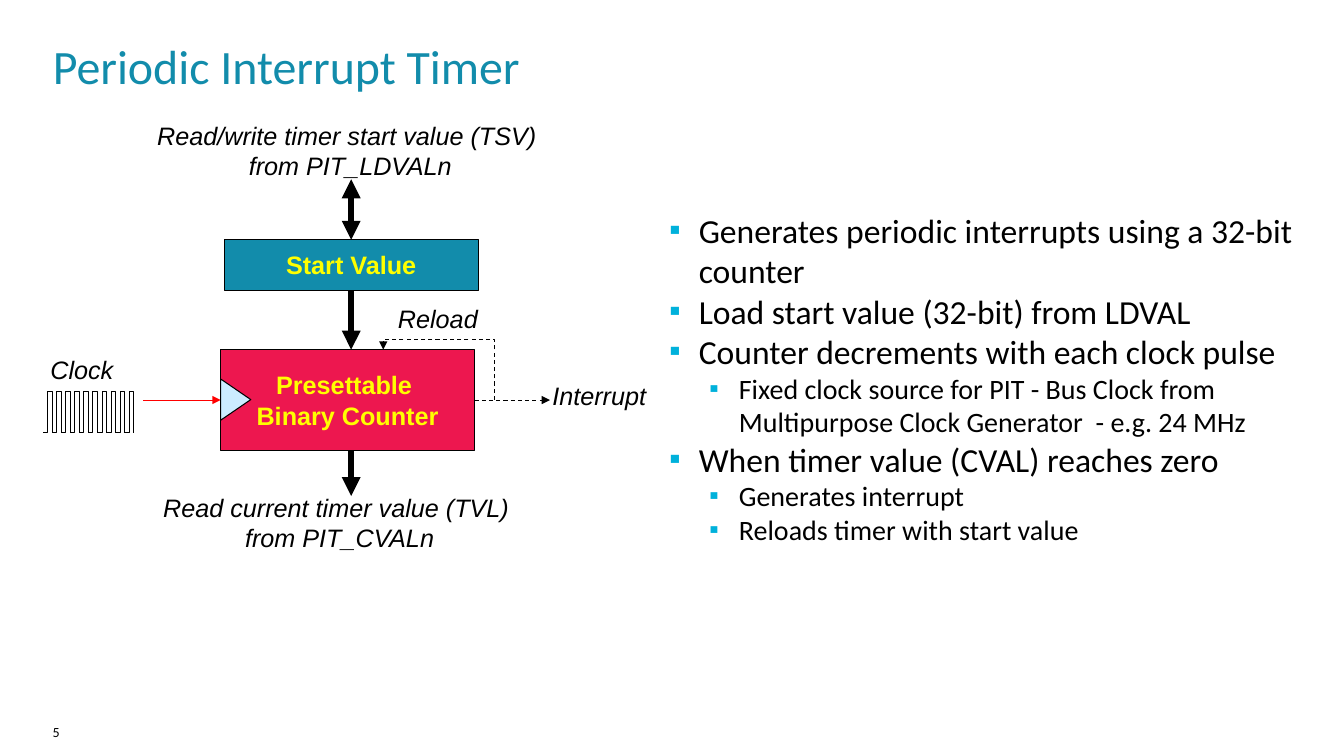
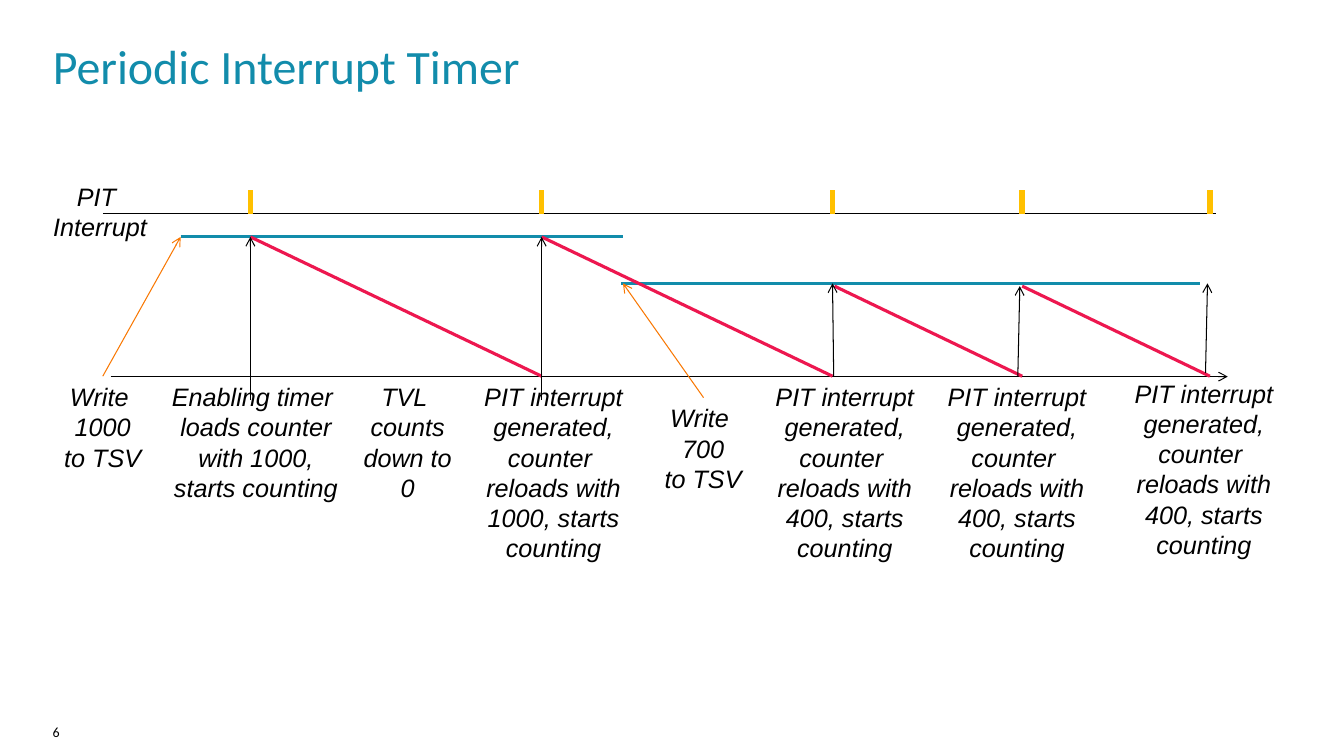
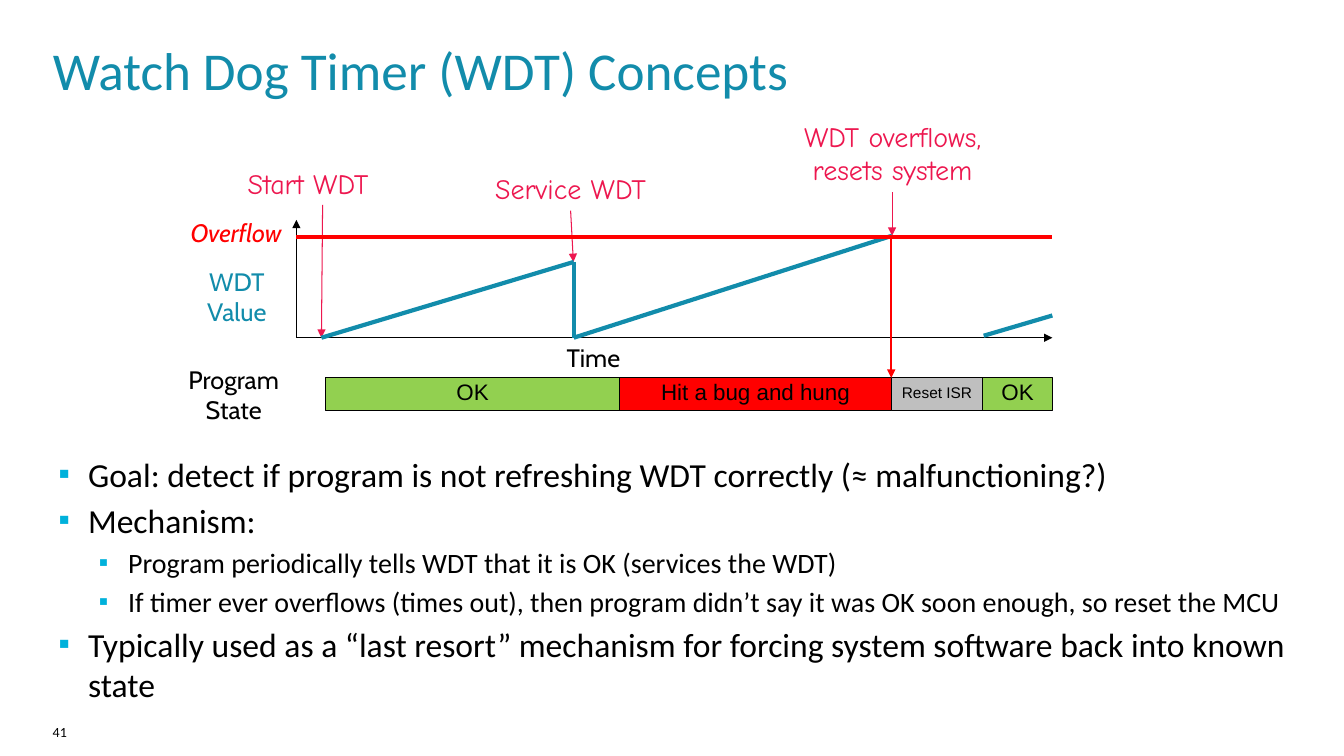
import pptx
import pptx.util
import pptx.dml.color
import pptx.enum.dml
import pptx.enum.shapes
import pptx.enum.text
import pptx.oxml.ns
from lxml import etree

Cm, Pt, qn = pptx.util.Cm, pptx.util.Pt, pptx.oxml.ns.qn
ALIGN = pptx.enum.text.PP_ALIGN
ANCHOR = pptx.enum.text.MSO_ANCHOR
SHAPE = pptx.enum.shapes.MSO_SHAPE

COLORS = {
    "black": "000000", "teal": "128CAB", "crimson": "ED174F", "bullet": "00B1DB",
    "yellow": "FFFF00", "ice": "CCECFF", "orange": "F97803", "gold": "FFC000",
    "red": "FF0000", "green": "92D050", "gray": "BFBFBF",
}
TITLE_BOX = (1.33, 0.93, 31.01, 1.6)
PAGE_BOX = (1.33, 18.23, 3.63, 0.66)
LEVEL_SIZE = (24, 20)
LEVEL_MARGIN = (0.74, 1.75)

# Block diagram
TIMER_BULLETS = [
    (0, "Generates periodic interrupts using a 32-bit counter"),
    (0, "Load start value (32-bit) from LDVAL"),
    (0, "Counter decrements with each clock pulse"),
    (1, "Fixed clock source for PIT - Bus Clock from Multipurpose Clock Generator  - e.g. 24 MHz"),
    (0, "When timer value (CVAL) reaches zero"),
    (1, "Generates interrupt"),
    (1, "Reloads timer with start value"),
]
BLOCK_LABELS = [
    ("Clock", (1.02, 8.81, 2.51, 1.22), ALIGN.LEFT),
    ("Interrupt", (13.67, 9.47, 2.9, 1.02), ALIGN.LEFT),
    ("Reload", (9.78, 7.52, 3.2, 1.02), ALIGN.LEFT),
    ("Read/write timer start value (TSV) \nfrom PIT_LDVALn", (3.66, 2.9, 10.34, 1.8), ALIGN.CENTER),
    ("Read current timer value (TVL) \nfrom PIT_CVALn", (3.81, 12.27, 9.5, 1.8), ALIGN.CENTER),
]
RELOAD_PATH = [(12.46, 10.08), (12.46, 8.55), (9.66, 8.55), (9.66, 8.81)]

# Timing diagram
INTERRUPT_XS = [6.31, 13.65, 20.98, 25.76, 30.49]
RELOADS = "PIT interrupt generated, counter \nreloads with {}, starts counting"
TIMING_LABELS = [  # text, left, top, width, wrap
    ("PIT \nInterrupt", 1.07, 4.45, 2.9, False),
    ("Write \n1000\nto TSV", 1.36, 9.49, 2.46, False),
    ("Enabling timer \nloads counter with 1000, starts counting", 3.96, 9.49, 4.98, True),
    ("TVL \ncounts down to 0", 8.66, 9.49, 3.23, True),
    (RELOADS.format(1000), 11.46, 9.49, 4.98, True),
    ("Write \n700\nto TSV", 16.49, 10.02, 2.46, False),
    (RELOADS.format(400), 18.8, 9.49, 4.98, True),
    (RELOADS.format(400), 23.14, 9.49, 4.98, True),
    (RELOADS.format(400), 27.85, 9.4, 4.98, True),
]
TIMING_LINES = [  # color, width, arrowhead, (x1, y1, x2, y2) of each line
    ("black", 0.75, "arrow", [(2.79, 9.49, 30.94, 9.49)]),
    ("teal", 2.25, None, [(4.55, 5.97, 15.7, 5.97), (15.65, 7.14, 30.25, 7.14)]),
    ("crimson", 2.25, None, [(6.31, 5.97, 13.65, 9.48), (13.65, 5.97, 20.98, 9.48),
                             (21.03, 7.21, 25.76, 9.48), (25.76, 7.21, 30.49, 9.48)]),
    ("black", 0.75, "arrow", [(6.31, 10.08, 6.31, 5.97), (13.65, 10.08, 13.65, 5.97),
                              (21.01, 9.48, 20.98, 7.14), (25.65, 9.48, 25.7, 7.21),
                              (30.38, 9.4, 30.43, 7.14)]),
    ("orange", 0.75, "arrow", [(2.59, 9.48, 4.55, 5.97), (17.73, 10.02, 15.7, 7.14)]),
    ("black", 0.75, None, [(2.59, 5.38, 30.65, 5.38)]),
    ("gold", 4, None, [(x, 5.38, x, 4.8) for x in INTERRUPT_XS]),
]

# Watchdog diagram
WATCHDOG_BULLETS = [
    (0, "Goal: detect if program is not refreshing WDT correctly (≈ malfunctioning?)"),
    (0, "Mechanism:"),
    (1, "Program periodically tells WDT that it is OK (services the WDT)"),
    (1, "If timer ever overflows (times out), then program didn’t say it was OK soon enough, "
        "so reset the MCU"),
    (0, "Typically used as a “last resort” mechanism for forcing system software back into "
        "known state"),
]
WATCHDOG_LABELS = [  # text, box, color, font, size, italic
    ("Time", (14.0, 8.51, 1.91, 1.02), "black", "Cabin", 18, False),
    ("WDT\nValue", (4.32, 6.59, 3.3, 1.78), "teal", "Cabin", 18, False),
    ("Overflow", (4.3, 5.36, 3.3, 1.02), "red", "Cabin", 18, True),
    ("Program\nState", (4.24, 9.06, 3.3, 1.8), "black", "Cabin", 18, False),
    ("Start WDT", (5.62, 4.06, 4.29, 1.09), "crimson", "Comic Neue", 20, False),
    ("Service WDT", (11.88, 4.19, 5, 1.12), "crimson", "Comic Neue", 20, False),
    ("WDT overflows,\nresets system", (19.56, 2.88, 5.87, 1.96), "crimson", "Comic Neue", 20, False),
]
WATCHDOG_LINES = [
    ("black", 0.75, "triangle", [(7.47, 8.51, 26.52, 8.51), (7.47, 8.51, 7.47, 5.54)]),
    ("crimson", 0.75, "triangle", [(8.13, 5.16, 8.1, 8.51), (14.38, 5.31, 14.45, 6.6),
                                   (22.48, 4.85, 22.48, 5.94)]),
    ("teal", 3, None, [(8.1, 8.51, 14.46, 6.6), (14.46, 6.6, 14.46, 8.51),
                       (14.46, 8.51, 22.48, 5.94), (24.79, 8.46, 26.52, 7.95)]),
    ("red", 3, None, [(7.47, 5.97, 26.52, 5.97)]),
    ("red", 1.5, "triangle", [(22.46, 6.02, 22.46, 9.52)]),
]
STATE_EDGES = [8.2, 15.62, 22.46, 24.77, 26.52]
STATES = [("OK", "green", 16), ("Hit a bug and hung", "red", 16),
          ("Reset ISR", "gray", 11), ("OK", "green", 16)]


def rgb(name):
    return pptx.dml.color.RGBColor.from_string(COLORS[name])


def cms(values):
    return [Cm(v) for v in values]


def put(p, text, size=18, color="black", font="Arial", bold=False, italic=False,
        align=ALIGN.CENTER, spacing=None):
    p.text = text
    p.alignment = align
    p.line_spacing = spacing
    for r in p.runs:
        r.font.size, r.font.name = Pt(size), font
        r.font.bold, r.font.italic = bold, italic
        r.font.color.rgb = rgb(color)


def bare_frame(sp, box):
    """Place a text shape and take away its insets and autofit."""
    sp.left, sp.top, sp.width, sp.height = cms(box)
    tf = sp.text_frame
    tf.margin_left = tf.margin_top = tf.margin_right = tf.margin_bottom = 0
    tf.auto_size = pptx.enum.text.MSO_AUTO_SIZE.NONE
    tf.vertical_anchor = ANCHOR.TOP
    tf.word_wrap = True
    return tf


def label(s, text, box, wrap=False, **fmt):
    tf = s.shapes.add_textbox(*cms(box)).text_frame
    tf.word_wrap = wrap
    put(tf.paragraphs[0], text, **fmt)


def stroke(sp, color="black", width=0.75, head=None, tail=None, dash=False):
    sp.line.color.rgb = rgb(color)
    sp.line.width = Pt(width)
    if dash:
        sp.line.dash_style = pptx.enum.dml.MSO_LINE.DASH
    ln = sp.element.spPr.find(qn("a:ln"))
    for tag, kind in (("a:headEnd", head), ("a:tailEnd", tail)):
        if kind:
            etree.SubElement(ln, qn(tag), type=kind)


def line(s, x1, y1, x2, y2, **style):
    cn = s.shapes.add_connector(pptx.enum.shapes.MSO_CONNECTOR.STRAIGHT, *cms((x1, y1, x2, y2)))
    stroke(cn, **style)
    etree.SubElement(cn.element.spPr, qn("a:effectLst"))
    return cn


def lines(s, groups):
    for color, width, tail, ends in groups:
        for end in ends:
            line(s, *end, color=color, width=width, tail=tail)


def block(s, box, fill, text="", kind=SHAPE.RECTANGLE, **fmt):
    sp = s.shapes.add_shape(kind, *cms(box))
    sp.shadow.inherit = False
    sp.fill.solid()
    sp.fill.fore_color.rgb = rgb(fill)
    stroke(sp)
    if text:
        sp.text_frame.vertical_anchor = ANCHOR.MIDDLE
        put(sp.text_frame.paragraphs[0], text, **fmt)
    return sp


def polyline(s, points, **style):
    pts = [cms(pt) for pt in points]
    builder = s.shapes.build_freeform(*pts[0])
    builder.add_line_segments(pts[1:], close=False)
    sp = builder.convert_to_shape()
    sp.shadow.inherit = False
    sp.fill.background()
    stroke(sp, **style)


def bullets(s, items, box, space_before=0):
    tf = bare_frame(s.placeholders[1], box)
    for i, (level, text) in enumerate(items):
        p = tf.add_paragraph() if i else tf.paragraphs[0]
        put(p, text, size=LEVEL_SIZE[level], font="Calibri", align=ALIGN.LEFT)
        p.level = level
        p.space_before = Pt(space_before)
        pPr = p._p.get_or_add_pPr()
        pPr.set("marL", str(Cm(LEVEL_MARGIN[level])))
        pPr.set("indent", str(-Cm(LEVEL_MARGIN[0])))
        color = etree.SubElement(pPr, qn("a:buClr"))
        etree.SubElement(color, qn("a:srgbClr"), val=COLORS["bullet"])
        etree.SubElement(pPr, qn("a:buSzPct"), val="95000")
        etree.SubElement(pPr, qn("a:buFont"), typeface="Calibri")
        etree.SubElement(pPr, qn("a:buChar"), char="▪")


def new_slide(prs, title, page, size=34.2, layout=1):
    s = prs.slides.add_slide(prs.slide_layouts[layout])
    tf = bare_frame(s.shapes.title, TITLE_BOX)
    put(tf.paragraphs[0], title, size=size, color="teal", font="Calibri", align=ALIGN.LEFT)
    tf = bare_frame(s.shapes.add_textbox(0, 0, 0, 0), PAGE_BOX)
    put(tf.paragraphs[0], str(page), size=10, font="Calibri", align=ALIGN.LEFT)
    return s


def block_slide(prs):
    s = new_slide(prs, "Periodic Interrupt Timer", 5)
    bullets(s, TIMER_BULLETS, (16.87, 5.29, 16.18, 13.11))
    for text, box, align in BLOCK_LABELS:
        label(s, text, box, italic=True, align=align)

    start = block(s, (5.65, 6.04, 6.4, 1.27), "teal", "Start Value", color="yellow", bold=True)
    counter = block(s, (5.56, 8.81, 6.4, 2.54), "crimson", "Presettable \nBinary Counter",
                    color="yellow", bold=True)
    clock = line(s, 3.61, 10.08, 5.56, 10.08, color="red", tail="triangle")
    clock.end_connect(counter, 1)
    clock_input = block(s, (5.42, 9.69, 1.04, 0.76), "ice", kind=SHAPE.ISOSCELES_TRIANGLE)
    clock_input.rotation = 90

    bus_x = 8.85
    bus = {"width": 4.5, "tail": "triangle"}
    line(s, bus_x, 4.52, bus_x, 6.04, head="triangle", **bus).end_connect(start, 0)
    line(s, bus_x, 7.31, bus_x, 8.81, **bus).begin_connect(start, 2)
    line(s, bus_x, 11.35, bus_x, 12.5, **bus)
    interrupt = line(s, 11.96, 10.08, 13.86, 10.08, tail="triangle", dash=True)
    interrupt.begin_connect(counter, 3)
    polyline(s, RELOAD_PATH, tail="triangle", dash=True)

    left, right, low, high, pulses = 1.09, 3.37, 10.9, 9.87, 10
    pitch = (right - left) / pulses
    for i in range(pulses):
        x = left + i * pitch
        rise, fall = x + pitch / 2, x + pitch
        polyline(s, [(x, low), (rise, low), (rise, high), (fall, high), (fall, low)])


def timing_slide(prs):
    s = new_slide(prs, "Periodic Interrupt Timer", 6, layout=5)
    lines(s, TIMING_LINES)
    for text, left, top, width, wrap in TIMING_LABELS:
        label(s, text, (left, top, width, 1.8), wrap=wrap, italic=True)


def watchdog_slide(prs):
    s = new_slide(prs, "Watch Dog Timer (WDT) Concepts", 41, size=38)
    bullets(s, WATCHDOG_BULLETS, (1.48, 11.43, 31.12, 7.62), space_before=4)
    for text, box, color, font, size, italic in WATCHDOG_LABELS:
        label(s, text, box, color=color, font=font, size=size, italic=italic)
    for (text, fill, size), left, right in zip(STATES, STATE_EDGES, STATE_EDGES[1:]):
        block(s, (left, 9.52, right - left, 0.82), fill, text, size=size, spacing=0.8)
    lines(s, WATCHDOG_LINES)


def main():
    prs = pptx.Presentation()
    prs.slide_width, prs.slide_height = Cm(33.87), Cm(19.05)
    block_slide(prs)
    timing_slide(prs)
    watchdog_slide(prs)
    prs.save("out.pptx")


if __name__ == "__main__":
    main()
